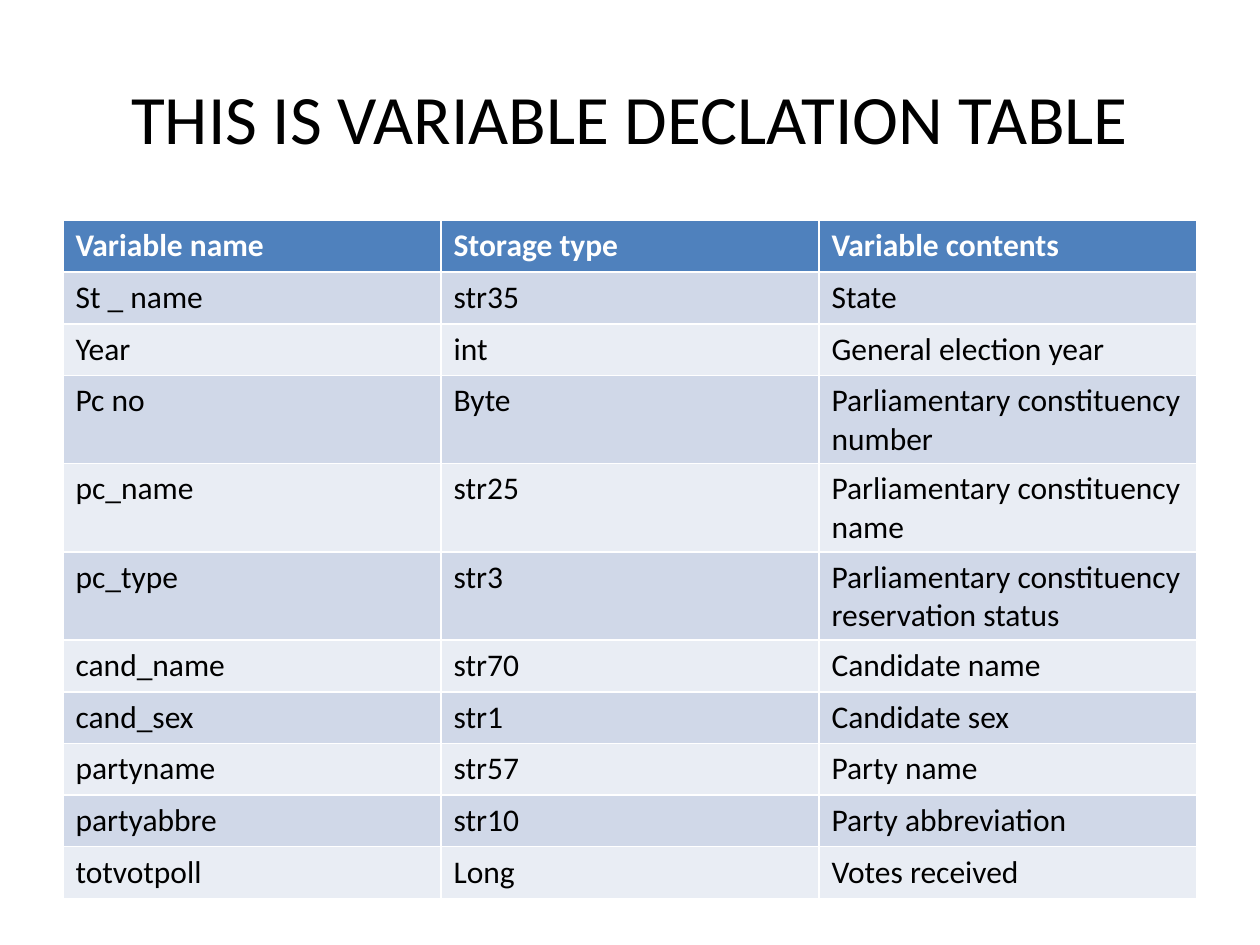
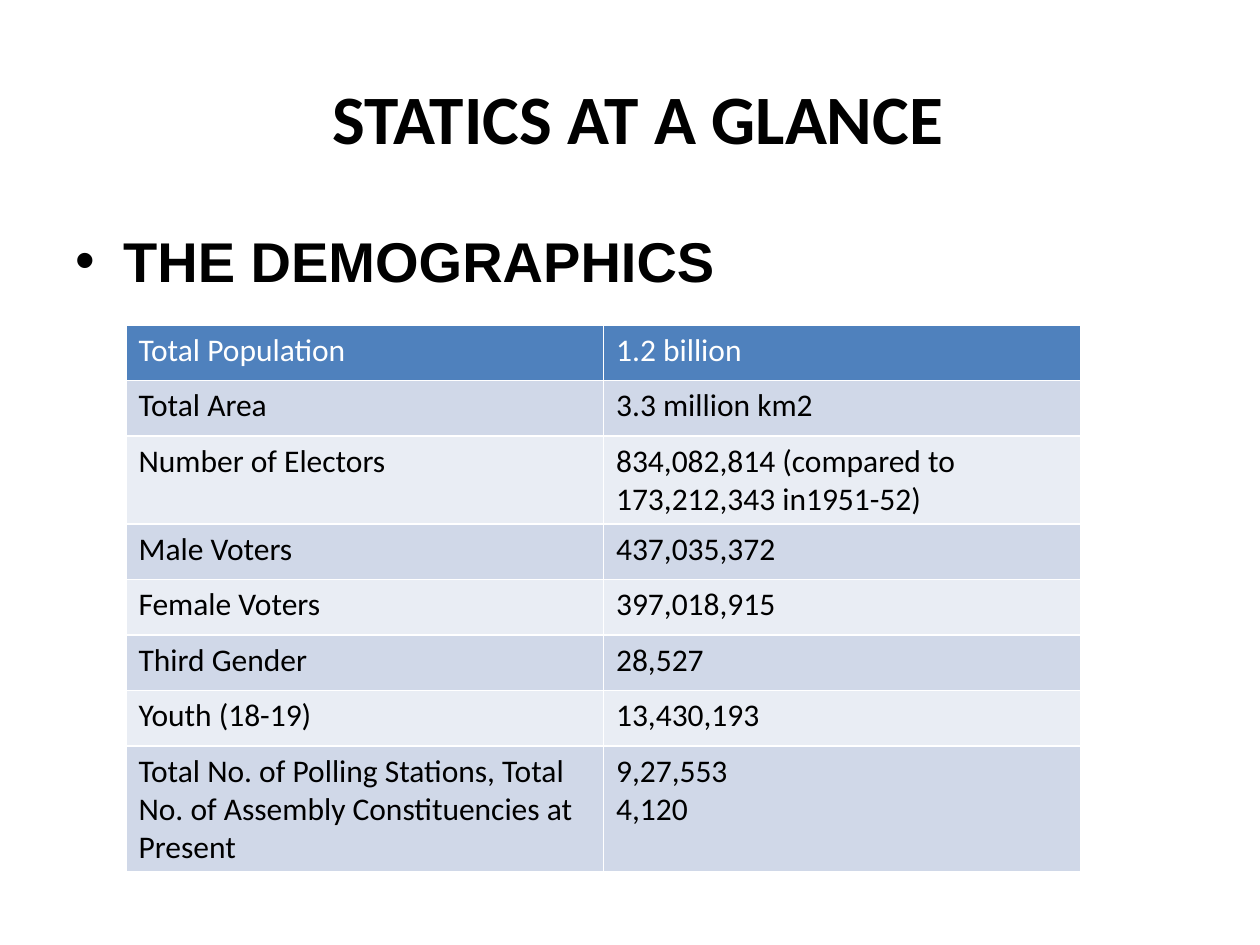
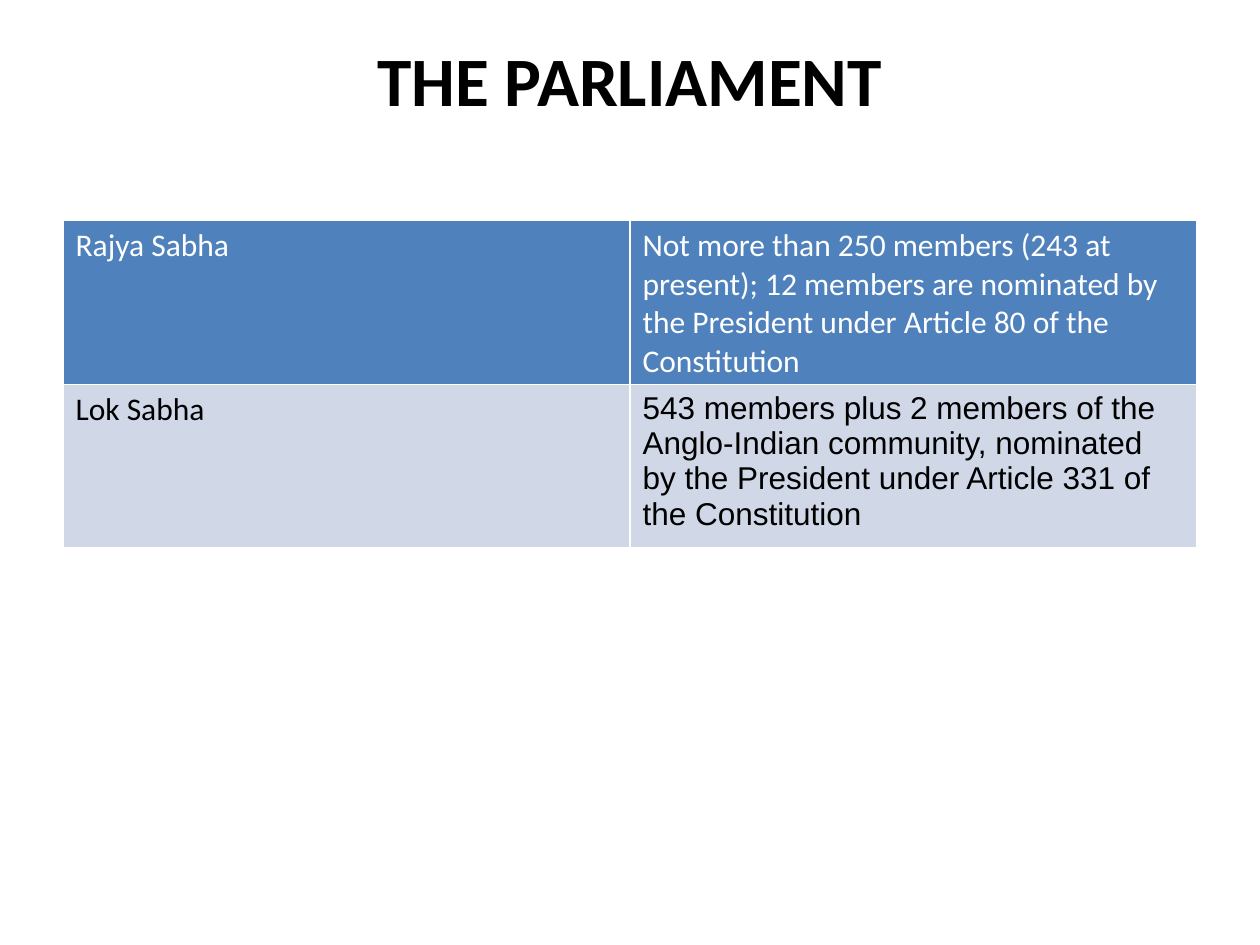
from lxml import etree
from pptx import Presentation
from pptx.dml.color import RGBColor
from pptx.enum.text import MSO_ANCHOR, PP_ALIGN
from pptx.oxml.ns import qn
from pptx.util import Inches, Pt

MIDDLE = MSO_ANCHOR.MIDDLE
TOP = MSO_ANCHOR.TOP
CENTER = PP_ALIGN.CENTER
LEFT = PP_ALIGN.LEFT

COLORS = {
    "text": "000000",
    "header_text": "FFFFFF",
    "header": "4F81BD",
    "odd_row": "D0D8E8",
    "even_row": "E9EDF4",
}

SLIDES = [
    {
        "title": "THIS IS VARIABLE DECLATION TABLE",
        "title_bold": False,
        "title_height": 1.25,
        "table_at": (0.5, 1.75, 9),
        "row_height": 0.41,
        "header_bold": True,
        "rows": [
            ("Variable name", "Storage type", "Variable contents"),
            ("St _ name", "str35", "State"),
            ("Year", "int", "General election year"),
            ("Pc no", "Byte", "Parliamentary constituency number"),
            ("pc_name", "str25", "Parliamentary constituency name"),
            ("pc_type", "str3", "Parliamentary constituency reservation status"),
            ("cand_name", "str70", "Candidate name"),
            ("cand_sex", "str1", "Candidate sex"),
            ("partyname", "str57", "Party name"),
            ("partyabbre", "str10", "Party abbreviation"),
            ("totvotpoll", "Long", "Votes received"),
        ],
    },
    {
        "title": " STATICS AT A GLANCE",
        "title_bold": True,
        "title_height": 1.25,
        "bullet": "THE DEMOGRAPHICS",
        "table_at": (1, 2.58, 7.58),
        "row_height": 0.44,
        "header_bold": False,
        "rows": [
            ("Total Population", "1.2 billion"),
            ("Total Area", "3.3 million km2"),
            ("Number of Electors", "834,082,814 (compared to 173,212,343 in1951-52)"),
            ("Male Voters", "437,035,372"),
            ("Female Voters", "397,018,915"),
            ("Third Gender", "28,527"),
            ("Youth (18-19)", "13,430,193"),
            (
                "Total No. of Polling Stations, Total No. of Assembly Constituencies at Present",
                "9,27,553\n4,120",
            ),
        ],
    },
    {
        "title": "THE PARLIAMENT",
        "title_bold": True,
        "title_height": 0.65,
        "table_at": (0.5, 1.75, 9),
        "row_height": 0.41,
        "header_bold": False,
        "arial_cell": (1, 1),
        "rows": [
            (
                "Rajya Sabha",
                "Not more than 250 members (243 at present); 12 members are nominated "
                "by the President under Article 80 of the Constitution",
            ),
            (
                "Lok Sabha",
                "543 members plus 2 members of the Anglo-Indian community, nominated "
                "by the President under Article 331 of the Constitution",
            ),
        ],
    },
]


def write(frame, text, color="text", align=LEFT, **font_format):
    frame.text = text
    for paragraph in frame.paragraphs:
        paragraph.alignment = align
        for run in paragraph.runs:
            run.font.color.rgb = RGBColor.from_string(COLORS[color])
            for attribute, value in font_format.items():
                setattr(run.font, attribute, value)


def add_text_frame(slide, top, height, anchor):
    frame = slide.shapes.add_textbox(
        Inches(0.5), Inches(top), Inches(9), Inches(height)
    ).text_frame
    frame.word_wrap = True
    frame.vertical_anchor = anchor
    return frame


prs = Presentation()
prs.slide_width = Inches(10)
prs.slide_height = Inches(7.5)

for content in SLIDES:
    slide = prs.slides.add_slide(prs.slide_layouts[6])

    title = add_text_frame(slide, 0.3, content["title_height"], MIDDLE)
    write(title, content["title"], align=CENTER,
          name="Calibri", size=Pt(39.6), bold=content["title_bold"])

    if "bullet" in content:
        heading = add_text_frame(slide, 1.75, 4.95, TOP)
        write(heading, content["bullet"], name="Arial", size=Pt(32), bold=True)
        heading.paragraphs[0].space_before = Pt(3)
        properties = heading.paragraphs[0]._p.get_or_add_pPr()
        properties.set("marL", str(Inches(0.38)))
        properties.set("indent", str(Inches(-0.38)))
        etree.SubElement(properties, qn("a:buFont")).set("typeface", "Arial")
        etree.SubElement(properties, qn("a:buChar")).set("char", "•")

    rows = content["rows"]
    left, top, width = content["table_at"]
    table = slide.shapes.add_table(
        len(rows), len(rows[0]), Inches(left), Inches(top),
        Inches(width), Inches(content["row_height"] * len(rows)),
    ).table
    for r, row in enumerate(rows):
        table.rows[r].height = Inches(content["row_height"])
        is_header = r == 0
        band = "header" if is_header else "odd_row" if r % 2 else "even_row"
        for c, text in enumerate(row):
            cell = table.cell(r, c)
            cell.fill.solid()
            cell.fill.fore_color.rgb = RGBColor.from_string(COLORS[band])
            write(
                cell.text_frame, text,
                color="header_text" if is_header else "text",
                name="Arial" if content.get("arial_cell") == (r, c) else "Calibri",
                size=Pt(18),
                bold=is_header and content["header_bold"],
            )

prs.save("out.pptx")
